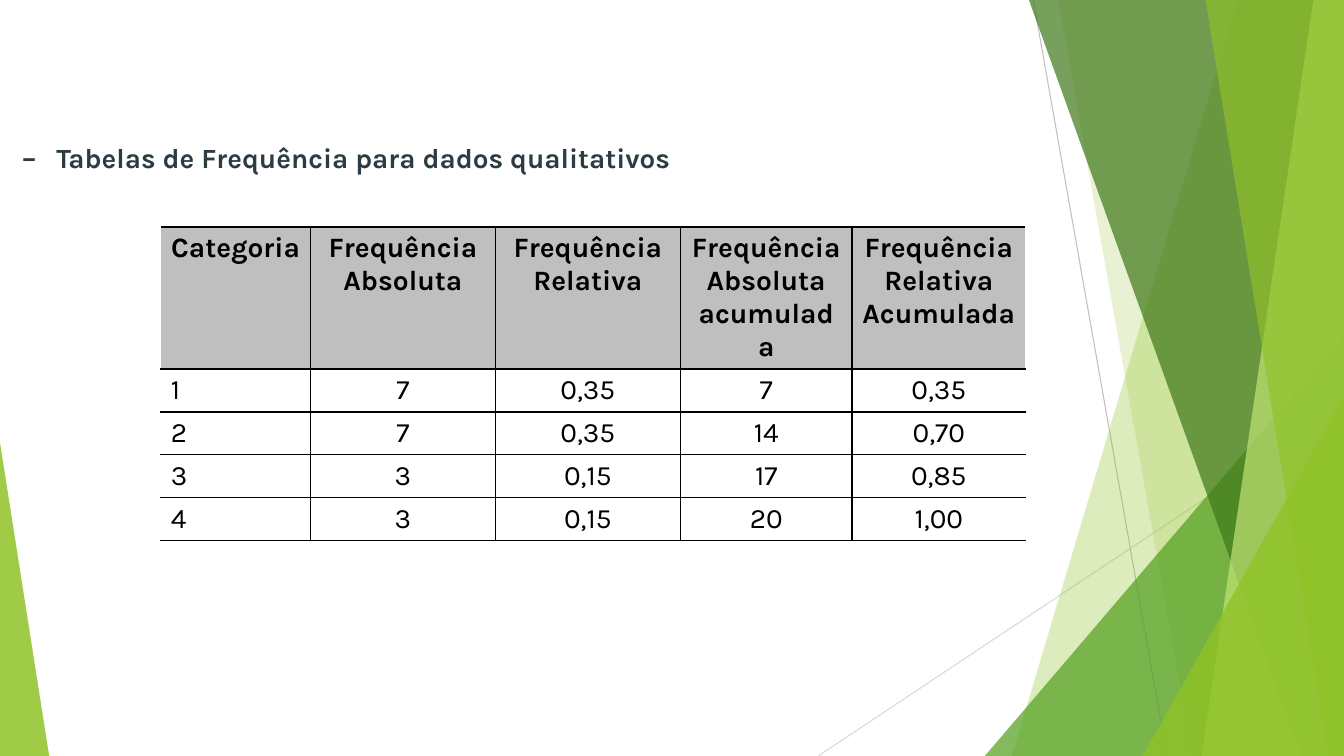
from lxml import etree
from pptx import Presentation
from pptx.dml.color import RGBColor
from pptx.enum.shapes import MSO_CONNECTOR, MSO_SHAPE
from pptx.enum.text import MSO_ANCHOR, MSO_AUTO_SIZE, PP_ALIGN
from pptx.oxml.ns import qn
from pptx.util import Cm, Pt

STRAIGHT = MSO_CONNECTOR.STRAIGHT
TRIANGLE = MSO_SHAPE.ISOSCELES_TRIANGLE
TOP = MSO_ANCHOR.TOP
NO_AUTOFIT = MSO_AUTO_SIZE.NONE
LEFT, CENTER = PP_ALIGN.LEFT, PP_ALIGN.CENTER

FONT = "Karla"
PAGE_WIDTH, PAGE_HEIGHT = 33.87, 19.05
COLUMN_WIDTHS = [3.78, 4.65, 4.67, 4.32, 4.38]
HEADER_HEIGHT, ROW_HEIGHT = 3.58, 1.08
FREQUENCIES = [
    ["Categoria", "Frequência Absoluta", "Frequência Relativa",
     "Frequência Absoluta\nacumulada", "Frequência Relativa\nAcumulada"],
    ["1", "7", "0,35", "7", "0,35"],
    ["2", "7", "0,35", "14", "0,70"],
    ["3", "3", "0,15", "17", "0,85"],
    ["4", "3", "0,15", "20", "1,00"],
]


def color(value):
    return RGBColor.from_string(value)


def format_span(span, size, value, bold):
    span.font.name = FONT
    span.font.size = Pt(size)
    span.font.bold = bold
    span.font.color.rgb = color(value)


def paint(shape, value, opacity):
    shape.shadow.inherit = False
    shape.line.fill.background()
    shape.fill.solid()
    shape.fill.fore_color.rgb = color(value)
    tint = shape.fill._xPr.find(qn("a:solidFill"))[0]
    etree.SubElement(tint, qn("a:alpha"), val=str(opacity * 1000))


def add_thin_line(page, start, end, value):
    line = page.shapes.add_connector(STRAIGHT, *map(Cm, start + end))
    line.line.color.rgb = color(value)
    line.line.width = Pt(0.75)
    etree.SubElement(line.element.spPr, qn("a:effectLst"))


def add_band(page, box, top_left, bottom_left, value, opacity):
    left, top, width, height = box
    right, bottom = left + width, top + height
    outline = page.shapes.build_freeform(Cm(top_left), Cm(top))
    outline.add_line_segments(
        [(Cm(right), Cm(top)), (Cm(right), Cm(bottom)), (Cm(bottom_left), Cm(bottom))]
    )
    paint(outline.convert_to_shape(), value, opacity)


def add_corner(page, box, apex, value, opacity):
    corner = page.shapes.add_shape(TRIANGLE, *map(Cm, box))
    corner.adjustments[0] = apex
    paint(corner, value, opacity)


def add_right_corner(page, box, corner_left, corner_top, value, opacity):
    left, top, width, height = box
    corner_box = (corner_left, corner_top,
                  left + width - corner_left, top + height - corner_top)
    add_corner(page, corner_box, 1, value, opacity)


def add_facets(page, box):
    left, top, width, height = box
    right, bottom = left + width, top + height
    add_thin_line(page, (26.04, top), (29.41, bottom), "BFBFBF")
    add_thin_line(page, (right, 10.24), (20.62, bottom), "D9D9D9")
    add_band(page, box, 31.19, 25.5, "90C226", 30)
    add_band(page, box, 26.67, 30.05, "90C226", 20)
    add_right_corner(page, box, 24.82, 8.46, "54A021", 72)
    add_band(page, box, 25.93, 32.79, "3F7819", 70)
    add_band(page, box, 33.1, 30.28, "C0E474", 70)
    add_band(page, box, 30.38, 33.48, "90C226", 65)
    add_right_corner(page, box, 28.8, 9.98, "90C226", 80)
    add_corner(page, (left, 11.15, 1.24, bottom - 11.15), 0, "90C226", 85)


def add_title(page, box):
    title = page.shapes.title
    title.element.getparent().append(title.element)
    title.left, title.top, title.width, title.height = map(Cm, box)
    frame = title.text_frame
    frame.word_wrap = True
    frame.auto_size = NO_AUTOFIT
    frame.vertical_anchor = TOP
    frame.margin_left = Cm(0.55)
    frame.margin_top = Cm(0.64)
    frame.text = "–\tTabelas de Frequência para dados qualitativos"
    para = frame.paragraphs[0]
    para.alignment = LEFT
    para.line_spacing = 1.0
    properties = para._p.get_or_add_pPr()
    properties.set("marL", str(Cm(0.87)))
    properties.set("indent", str(-Cm(0.87)))
    format_span(para.runs[0], 19.8, "2C3C43", True)


def set_borders(cell, sides):
    properties = cell._tc.get_or_add_tcPr()
    for position, side in enumerate(sides):
        border = etree.Element(qn("a:" + side), w=str(Pt(1)))
        fill = etree.SubElement(border, qn("a:solidFill"))
        etree.SubElement(fill, qn("a:srgbClr"), val="000000")
        properties.insert(position, border)


def fill_cell(cell, text, is_header, alignment):
    if is_header:
        cell.fill.solid()
        cell.fill.fore_color.rgb = color("BFBFBF")
    else:
        cell.fill.background()
    cell.vertical_anchor = TOP
    cell.text_frame.text = text
    for para in cell.text_frame.paragraphs:
        para.alignment = alignment
        for span in para.runs:
            format_span(span, 20, "000000", is_header)


def add_frequency_table(page, box):
    rows, columns = len(FREQUENCIES), len(COLUMN_WIDTHS)
    table = page.shapes.add_table(rows, columns, *map(Cm, box)).table
    table.first_row = False
    table.horz_banding = False
    for column, width in zip(table.columns, COLUMN_WIDTHS):
        column.width = Cm(width)
    for row_index, texts in enumerate(FREQUENCIES):
        is_header = row_index == 0
        table.rows[row_index].height = Cm(HEADER_HEIGHT if is_header else ROW_HEIGHT)
        for column_index, text in enumerate(texts):
            cell = table.cell(row_index, column_index)
            is_label = column_index == 0 and not is_header
            fill_cell(cell, text, is_header, LEFT if is_label else CENTER)
            sides = ["lnT", "lnB"]
            if column_index < columns - 1:
                sides.insert(0, "lnR")
            if column_index > 0:
                sides.insert(0, "lnL")
            set_borders(cell, sides)


def main():
    deck = Presentation()
    deck.slide_width, deck.slide_height = Cm(PAGE_WIDTH), Cm(PAGE_HEIGHT)
    page = deck.slides.add_slide(deck.slide_layouts[5])
    add_facets(page, (0, 0, PAGE_WIDTH, PAGE_HEIGHT))
    add_title(page, (0, 2.9, 29.21, 15.34))
    table_height = HEADER_HEIGHT + ROW_HEIGHT * (len(FREQUENCIES) - 1)
    add_frequency_table(page, (4.05, 5.72, sum(COLUMN_WIDTHS), table_height))
    deck.save("out.pptx")


if __name__ == "__main__":
    main()
